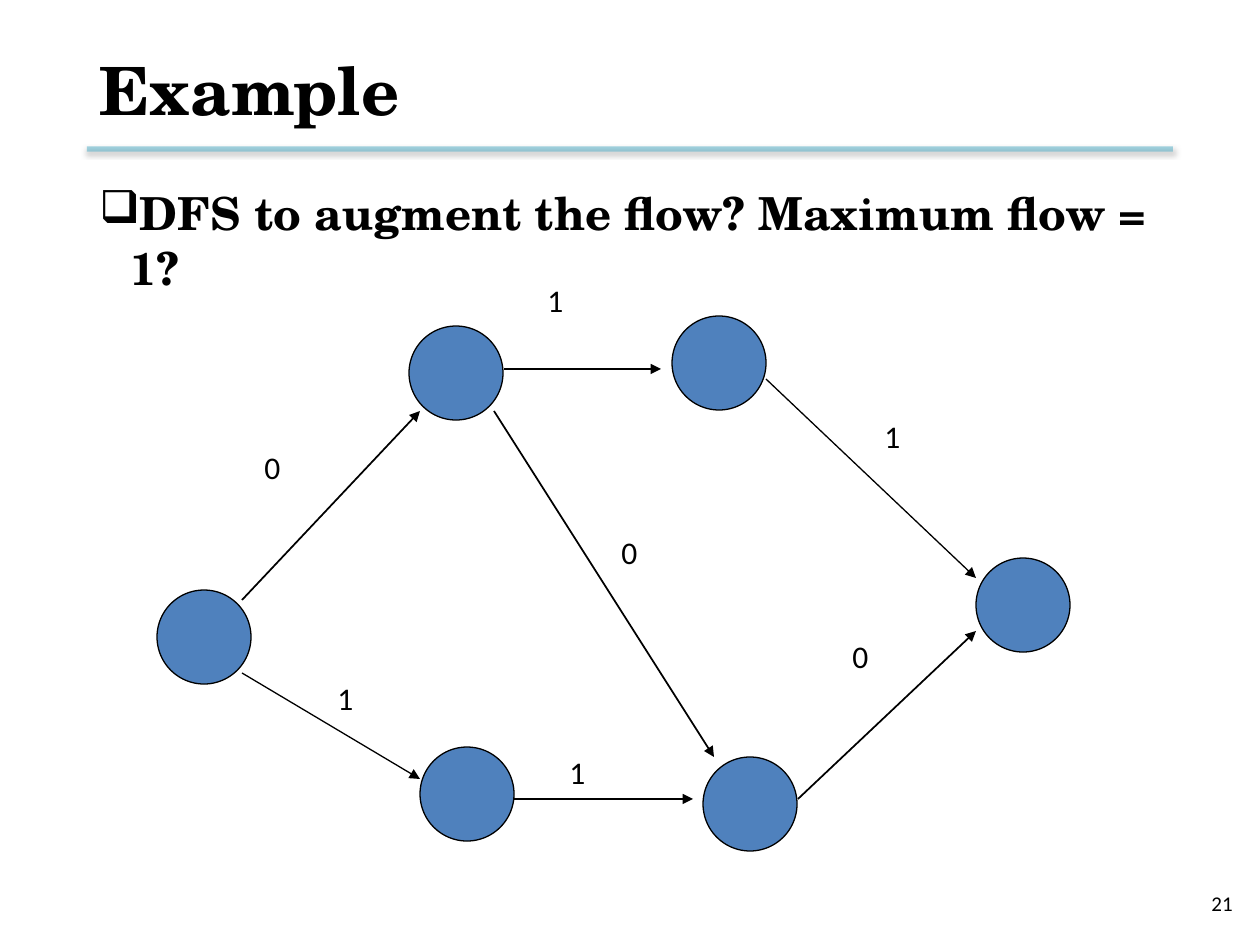
from lxml.etree import SubElement
from pptx import Presentation
from pptx.dml.color import RGBColor
from pptx.enum.shapes import MSO_CONNECTOR, MSO_SHAPE
from pptx.enum.text import MSO_ANCHOR, PP_ALIGN
from pptx.oxml.ns import qn
from pptx.util import Pt

PX = 914400 / 126
COLORS = {"ink": "000000", "node": "4F81BD", "rule": "4BACC6"}
SERIF, SANS = "TeX Gyre Schola", "Calibri"
NODE = 94

# Positions in px, relative to the graph's box
NODES = [(0, 315), (263, 472), (252, 51), (819, 283), (546, 482), (515, 41)]
# Start, end, line width in points, label text, label box
EDGES = [
    ((85, 325), (263, 136), 1, "0", (95, 167, 73, 50)),
    ((85, 398), (263, 504), 0.75, "1", (168, 398, 53, 63)),
    ((347, 94), (504, 94), 0.75, "1", (378, 0, 105, 63)),
    ((357, 524), (536, 524), 0.75, "1", (400, 472, 63, 63)),
    ((337, 136), (557, 482), 1, "0", (452, 252, 84, 50)),
    ((609, 104), (819, 303), 0.75, "1", (715, 136, 84, 63)),
    ((641, 524), (819, 356), 1, "0", (683, 356, 84, 50)),
]


def emu(*sizes):
    return [round(size * PX) for size in sizes]


def color(name):
    return RGBColor.from_string(COLORS[name])


def add(parent, tag, **attrs):
    return SubElement(parent, qn(tag), {k: str(v) for k, v in attrs.items()})


def write(slide, box, text, size=18, font=SANS, bold=False,
          align=PP_ALIGN.LEFT, anchor=MSO_ANCHOR.TOP, bullet=None):
    frame = slide.shapes.add_textbox(*emu(*box)).text_frame
    frame.word_wrap = True
    frame.vertical_anchor = anchor
    para = frame.paragraphs[0]
    para.text = text
    para.alignment = align
    if bullet:
        props = para._p.get_or_add_pPr()
        props.set("marL", "228600")
        props.set("indent", "-411480")
        add(props, "a:buChar", char=bullet)
    para.font.size = Pt(size)
    para.font.name = font
    para.font.bold = bold
    para.font.color.rgb = color("ink")


def draw(slide, start, end, tint, width):
    """Add a straight line and return it with its empty effect list."""
    line = slide.shapes.add_connector(MSO_CONNECTOR.STRAIGHT, *emu(*start, *end))
    line.line.color.rgb = color(tint)
    line.line.width = Pt(width)
    return line, add(line._element.spPr, "a:effectLst")


def header(slide, box):
    left, top, width, height = box
    rule = top + 127
    line, effects = draw(slide, (left, rule), (left + width, rule), "rule", 3)
    tint = line.line._ln.find(".//" + qn("a:srgbClr"))
    add(tint, "a:alpha", val=50000)
    shadow = add(effects, "a:outerShdw", blurRad=Pt(3.1), dist=Pt(1.6),
                 dir=5400000, rotWithShape=0)
    add(add(shadow, "a:srgbClr", val=COLORS["ink"]), "a:alpha", val=38000)
    write(slide, box, "Example", size=38, font=SERIF, bold=True,
          anchor=MSO_ANCHOR.MIDDLE)


def body(slide, box):
    write(slide, box, "DFS to augment the flow? Maximum flow = 1?",
          size=26, font=SERIF, bold=True, bullet="❑")


def graph(slide, box):
    left, top = box[:2]

    def shift(x, y):
        return left + x, top + y

    for spot in NODES:
        node = slide.shapes.add_shape(
            MSO_SHAPE.OVAL, *emu(*shift(*spot), NODE, NODE))
        node.shadow.inherit = False
        node.fill.solid()
        node.fill.fore_color.rgb = color("node")
        node.line.color.rgb = color("ink")
        node.line.width = Pt(0.75)
    for start, end, width, flow, (x, y, wide, high) in EDGES:
        line, _ = draw(slide, shift(*start), shift(*end), "ink", width)
        add(line.line._ln, "a:tailEnd", type="triangle")
        write(slide, (*shift(x, y), wide, high), flow)


def footer(slide, box):
    write(slide, box, "21", size=12, align=PP_ALIGN.RIGHT,
          anchor=MSO_ANCHOR.MIDDLE)


def main():
    deck = Presentation()
    deck.slide_width, deck.slide_height = emu(1260, 945)
    slide = deck.slides.add_slide(deck.slide_layouts[6])
    header(slide, (87, 22, 1086, 133))
    body(slide, (87, 179, 1086, 643))
    graph(slide, (157, 275, 914, 577))
    footer(slide, (951, 878, 294, 50))
    deck.save("out.pptx")


if __name__ == "__main__":
    main()
